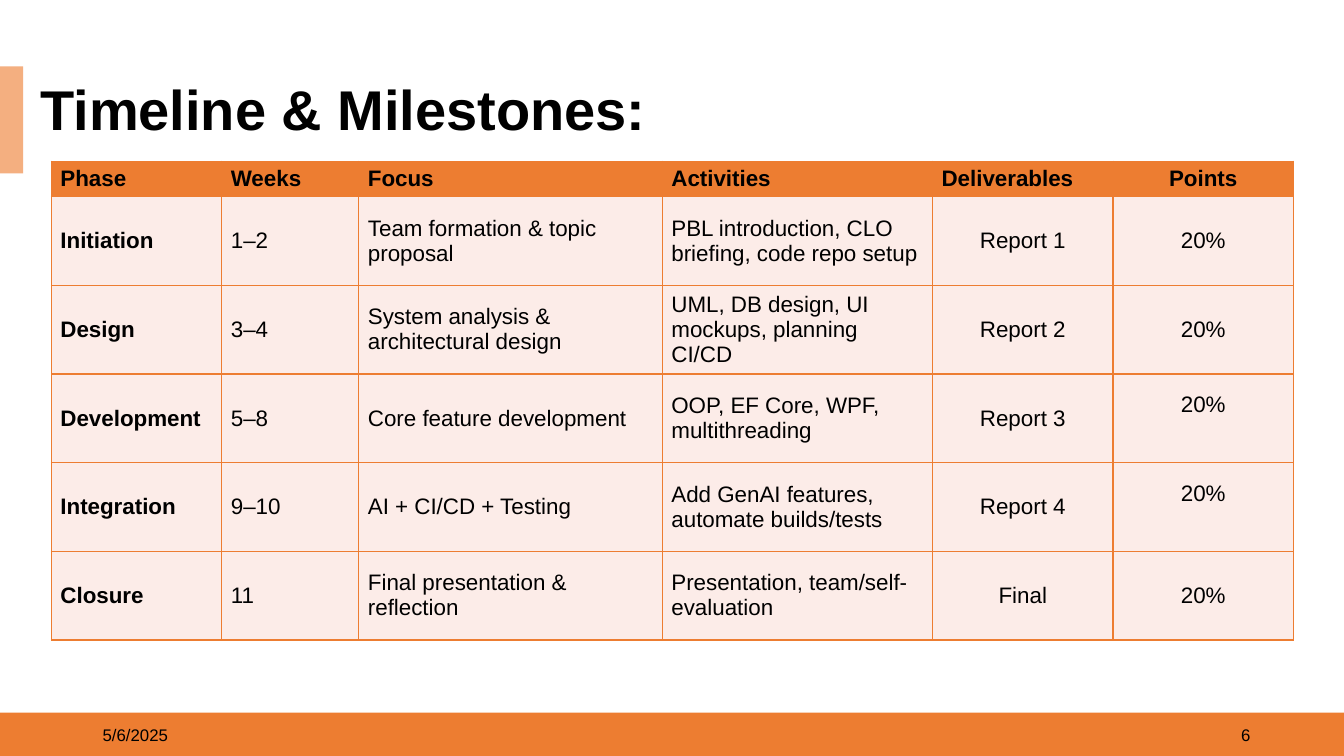
"""Build the project timeline and milestones slide."""
from lxml.etree import SubElement
from pptx import Presentation
from pptx.dml.color import RGBColor
from pptx.enum.shapes import MSO_SHAPE
from pptx.enum.text import MSO_ANCHOR, MSO_AUTO_SIZE, PP_ALIGN
from pptx.oxml.ns import qn
from pptx.util import Inches, Pt

COLORS = {
    "orange": "ED7D31",
    "light orange": "F4AF80",
    "pale": "FCECE8",
    "black": "000000",
    "white": "FFFFFF",
}
MILESTONES = [
    ["Phase", "Weeks", "Focus", "Activities", "Deliverables", "Points"],
    ["Initiation", "1–2", "Team formation & topic proposal",
     "PBL introduction, CLO briefing, code repo setup", "Report 1", "20%"],
    ["Design", "3–4", "System analysis & architectural design",
     "UML, DB design, UI mockups, planning CI/CD", "Report 2", "20%"],
    ["Development", "5–8", "Core feature development",
     "OOP, EF Core, WPF, multithreading", "Report 3", "20%"],
    ["Integration", "9–10", "AI + CI/CD + Testing",
     "Add GenAI features, automate builds/tests", "Report 4", "20%"],
    ["Closure", "11", "Final presentation & reflection",
     "Presentation, team/self-evaluation", "Final", "20%"],
]
COLUMN_WIDTHS = [1.69, 1.36, 3.01, 2.68, 1.79, 1.79]
ROW_HEIGHTS = [0.35] + [0.88] * 5
RAISED_POINTS = ["Development", "Integration"]


def write(frame, text, size, bold=False, align=PP_ALIGN.LEFT):
    """Put one formatted paragraph into a text frame."""
    frame.text = text
    frame.word_wrap = True
    para = frame.paragraphs[0]
    para.alignment = align
    font = para.runs[0].font
    font.name = "Arial"
    font.size = Pt(size)
    font.bold = bold
    font.color.rgb = RGBColor.from_string(COLORS["black"])
    return para


def add_borders(cell):
    """Draw a thin orange line on each side of a table cell."""
    properties = cell._tc.get_or_add_tcPr()
    for side in ("a:lnL", "a:lnR", "a:lnT", "a:lnB"):
        line = SubElement(properties, qn(side), w=str(Pt(1)))
        fill = SubElement(line, qn("a:solidFill"))
        SubElement(fill, qn("a:srgbClr"), val=COLORS["orange"])


deck = Presentation()
deck.slide_width = Inches(13.33)
deck.slide_height = Inches(7.5)
page = deck.slides.add_slide(deck.slide_layouts[5])

for left, top, width, height, color in [
    (0, 7.07, 13.33, 0.43, "orange"),
    (0, 0.66, 0.23, 1.06, "light orange"),
]:
    bar = page.shapes.add_shape(
        MSO_SHAPE.RECTANGLE, Inches(left), Inches(top), Inches(width), Inches(height))
    bar.shadow.inherit = False
    bar.fill.solid()
    bar.fill.fore_color.rgb = RGBColor.from_string(COLORS[color])
    bar.line.fill.background()

for text, left, align in [("5/6/2025", 0.92, PP_ALIGN.LEFT), ("6", 9.5, PP_ALIGN.RIGHT)]:
    box = page.shapes.add_textbox(Inches(left), Inches(7.09), Inches(3), Inches(0.4))
    box.text_frame.vertical_anchor = MSO_ANCHOR.MIDDLE
    write(box.text_frame, text, 12, align=align)

title = page.shapes.title
title.left, title.top = Inches(0.3), Inches(0.8)
title.width, title.height = Inches(7.29), Inches(0.63)
title.fill.solid()
title.fill.fore_color.rgb = RGBColor.from_string(COLORS["white"])
title.text_frame.auto_size = MSO_AUTO_SIZE.NONE
title.text_frame.vertical_anchor = MSO_ANCHOR.MIDDLE
write(title.text_frame, "Timeline & Milestones:", 40, bold=True).line_spacing = 0.9

table = page.shapes.add_table(
    len(MILESTONES), len(COLUMN_WIDTHS), Inches(0.51), Inches(1.6),
    Inches(sum(COLUMN_WIDTHS)), Inches(sum(ROW_HEIGHTS))).table
for column, width in zip(table.columns, COLUMN_WIDTHS):
    column.width = Inches(width)
for row, height in zip(table.rows, ROW_HEIGHTS):
    row.height = Inches(height)

for row_index, milestone in enumerate(MILESTONES):
    for column_index, text in enumerate(milestone):
        cell = table.cell(row_index, column_index)
        header = row_index == 0
        centered = column_index == 5 or (column_index == 4 and not header)
        raised = column_index == 5 and milestone[0] in RAISED_POINTS
        add_borders(cell)
        cell.fill.solid()
        cell.fill.fore_color.rgb = RGBColor.from_string(COLORS["orange" if header else "pale"])
        cell.vertical_anchor = MSO_ANCHOR.MIDDLE
        cell.margin_left = cell.margin_right = Inches(0.09)
        cell.margin_top = Inches(0.04)
        cell.margin_bottom = Inches(0.3 if raised else 0.04)
        write(cell.text_frame, text, 16, bold=header or column_index == 0,
              align=PP_ALIGN.CENTER if centered else PP_ALIGN.LEFT)

deck.save("out.pptx")
